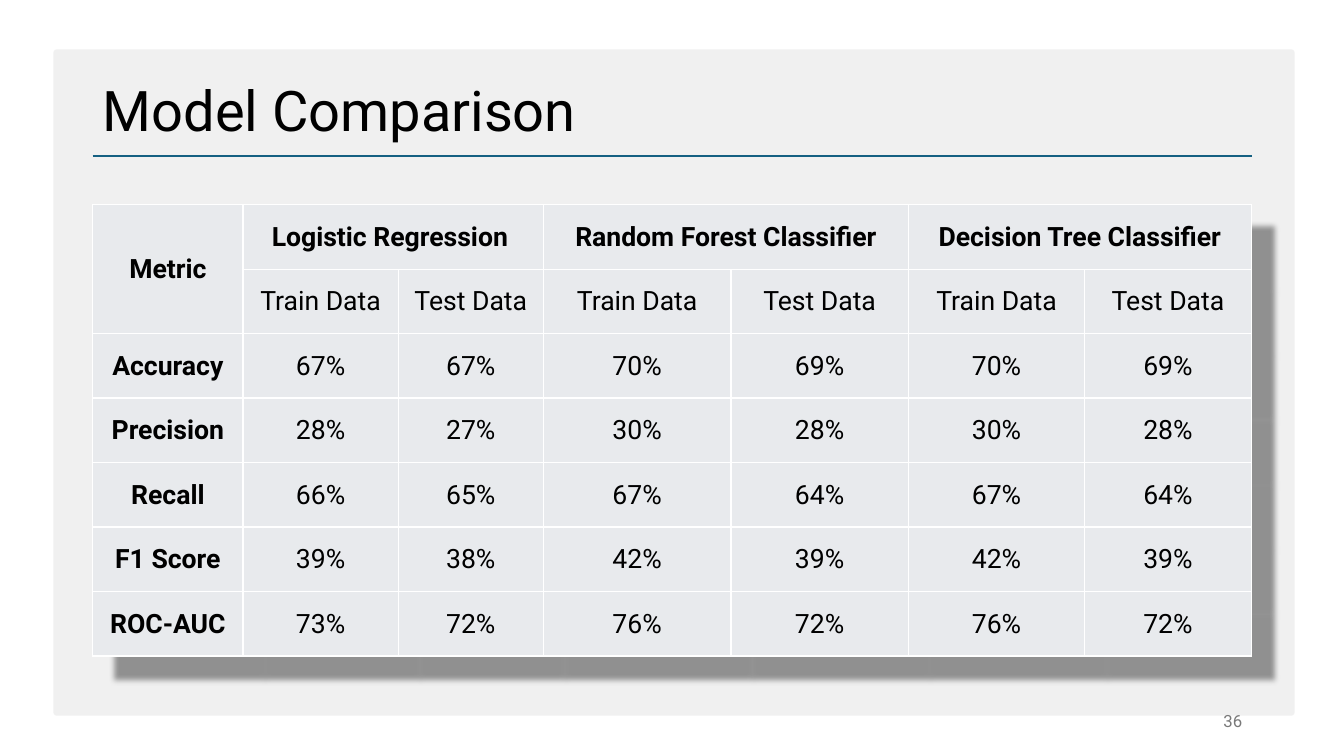
"""Build the model comparison slide with its table of metrics."""
import pptx
import pptx.util
import pptx.dml.color
import pptx.enum.shapes
import pptx.enum.text
import pptx.oxml
import pptx.oxml.ns

Inches = pptx.util.Inches
Pt = pptx.util.Pt
RGB = pptx.dml.color.RGBColor
ALIGN = pptx.enum.text.PP_ALIGN
MIDDLE = pptx.enum.text.MSO_ANCHOR.MIDDLE
NS = pptx.oxml.ns.nsdecls("a")

BLACK = RGB(0x00, 0x00, 0x00)
WHITE = RGB(0xFF, 0xFF, 0xFF)
PANEL = RGB(0xF0, 0xF0, 0xF0)
CELL = RGB(0xE8, 0xEA, 0xED)
BLUE = RGB(0x15, 0x60, 0x82)
GREY = RGB(0x79, 0x79, 0x79)

LEFT = 0.92
WIDTH = 11.5
WIDTHS = [1.49, 1.54, 1.44, 1.86, 1.76, 1.75, 1.65]
HEIGHT = 0.64
ROWS = [
    ["Metric", "Logistic Regression ", "", "Random Forest Classifier", "",
     "Decision Tree Classifier", ""],
    [""] + ["Train Data", "Test Data"] * 3,
    ["Accuracy", "67%", "67%", "70%", "69%", "70%", "69%"],
    ["Precision", "28%", "27%", "30%", "28%", "30%", "28%"],
    ["Recall", "66%", "65%", "67%", "64%", "67%", "64%"],
    ["F1 Score", "39%", "38%", "42%", "39%", "42%", "39%"],
    ["ROC-AUC", "73%", "72%", "76%", "72%", "76%", "72%"],
]


def style(para, size, color, align, bold=False):
    para.alignment = align
    para.font.name = "Roboto"
    para.font.size = Pt(size)
    para.font.bold = bold
    para.font.color.rgb = color


deck = pptx.Presentation()
deck.slide_width = Inches(13.33)
deck.slide_height = Inches(7.5)
slide = deck.slides.add_slide(deck.slide_layouts[5])
shapes = slide.shapes
title = shapes.title

panel = shapes.add_shape(
    pptx.enum.shapes.MSO_SHAPE.ROUNDED_RECTANGLE,
    Inches(0.53), Inches(0.49), Inches(12.31), Inches(6.61))
panel.adjustments[0] = 0.005
panel.shadow.inherit = False
panel.fill.solid()
panel.fill.fore_color.rgb = PANEL
panel.line.fill.background()

rule = shapes.add_connector(
    pptx.enum.shapes.MSO_CONNECTOR.STRAIGHT,
    Inches(LEFT), Inches(1.55), Inches(LEFT + WIDTH), Inches(1.55))
rule.line.color.rgb = BLUE
rule.line.width = Pt(1.5)
rule._element.spPr.append(pptx.oxml.parse_xml(f"<a:effectLst {NS}/>"))
title._element.addprevious(panel._element)
title._element.addprevious(rule._element)

title.left, title.top = Inches(LEFT), Inches(0.4)
title.width, title.height = Inches(WIDTH), Inches(1.45)
title.text_frame.text = "Model Comparison"
title.text_frame.auto_size = pptx.enum.text.MSO_AUTO_SIZE.NONE
title.text_frame.vertical_anchor = MIDDLE
title.text_frame.paragraphs[0].line_spacing = 0.9
style(title.text_frame.paragraphs[0], 40, BLACK, ALIGN.LEFT)

table = shapes.add_table(
    len(ROWS), len(WIDTHS), Inches(LEFT), Inches(2.03),
    Inches(WIDTH), Inches(HEIGHT * len(ROWS))).table
table.horz_banding = False
table.first_row = False
table._tbl.tblPr.insert(0, pptx.oxml.parse_xml(
    f'<a:effectLst {NS}><a:outerShdw blurRad="50800" dist="292100" '
    'dir="2700000" algn="tl" rotWithShape="0"><a:srgbClr val="000000">'
    '<a:alpha val="40000"/></a:srgbClr></a:outerShdw></a:effectLst>'))
for col, width in zip(table.columns, WIDTHS):
    col.width = Inches(width)
for row in table.rows:
    row.height = Inches(HEIGHT)
table.cell(0, 0).merge(table.cell(1, 0))
for c in (1, 3, 5):
    table.cell(0, c).merge(table.cell(0, c + 1))

for r, row in enumerate(ROWS):
    for c, text in enumerate(row):
        cell = table.cell(r, c)
        cell.text = text
        cell.vertical_anchor = MIDDLE
        cell.margin_left = cell.margin_right = cell.margin_top = Inches(0.01)
        cell.margin_bottom = 0
        cell.fill.solid()
        cell.fill.fore_color.rgb = CELL
        style(cell.text_frame.paragraphs[0], 19, BLACK, ALIGN.CENTER,
              r == 0 or c == 0)
        for i, side in enumerate("LRTB"):
            cell._tc.tcPr.insert(i, pptx.oxml.parse_xml(
                f'<a:ln{side} {NS} w="12700"><a:solidFill>'
                f'<a:srgbClr val="{WHITE}"/></a:solidFill></a:ln{side}>'))

number = shapes.add_textbox(
    Inches(9.42), Inches(6.95), Inches(3), Inches(0.4)).text_frame
number.word_wrap = True
number.vertical_anchor = MIDDLE
number.text = "36"
style(number.paragraphs[0], 12, GREY, ALIGN.RIGHT)

deck.save("out.pptx")
